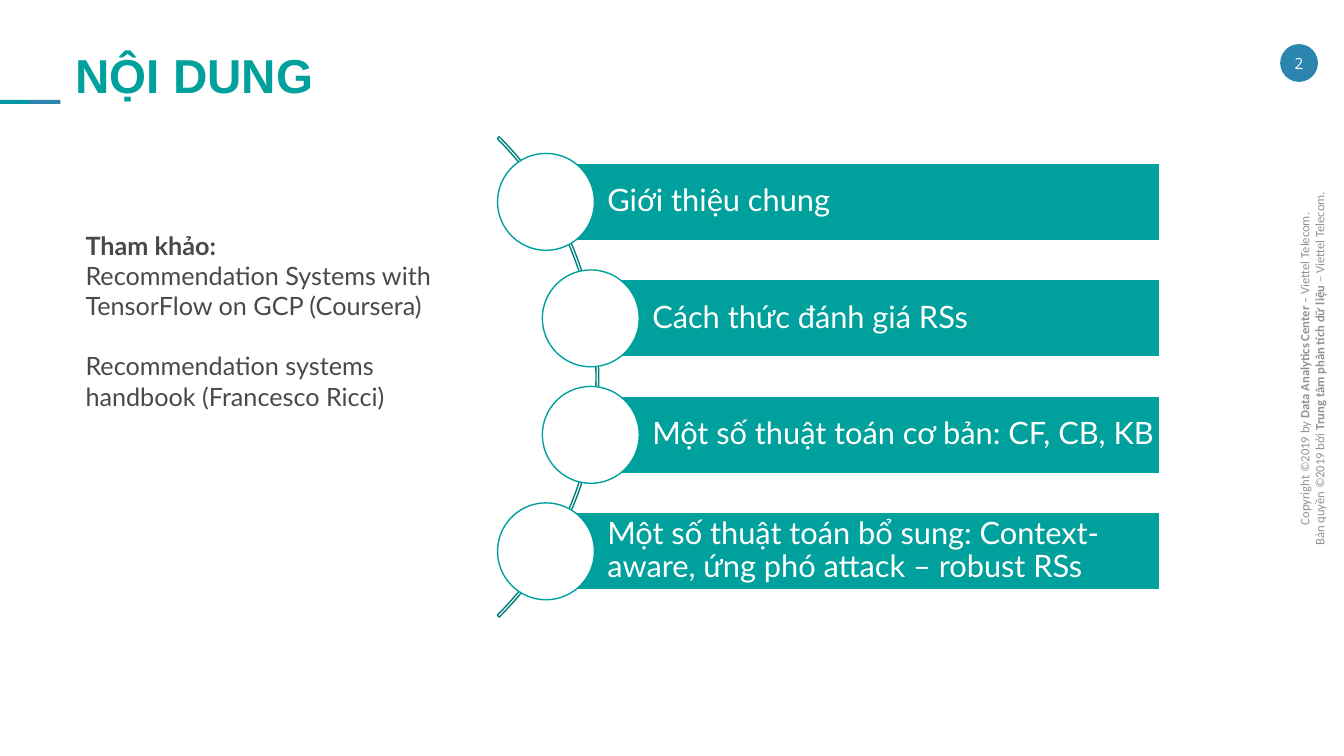
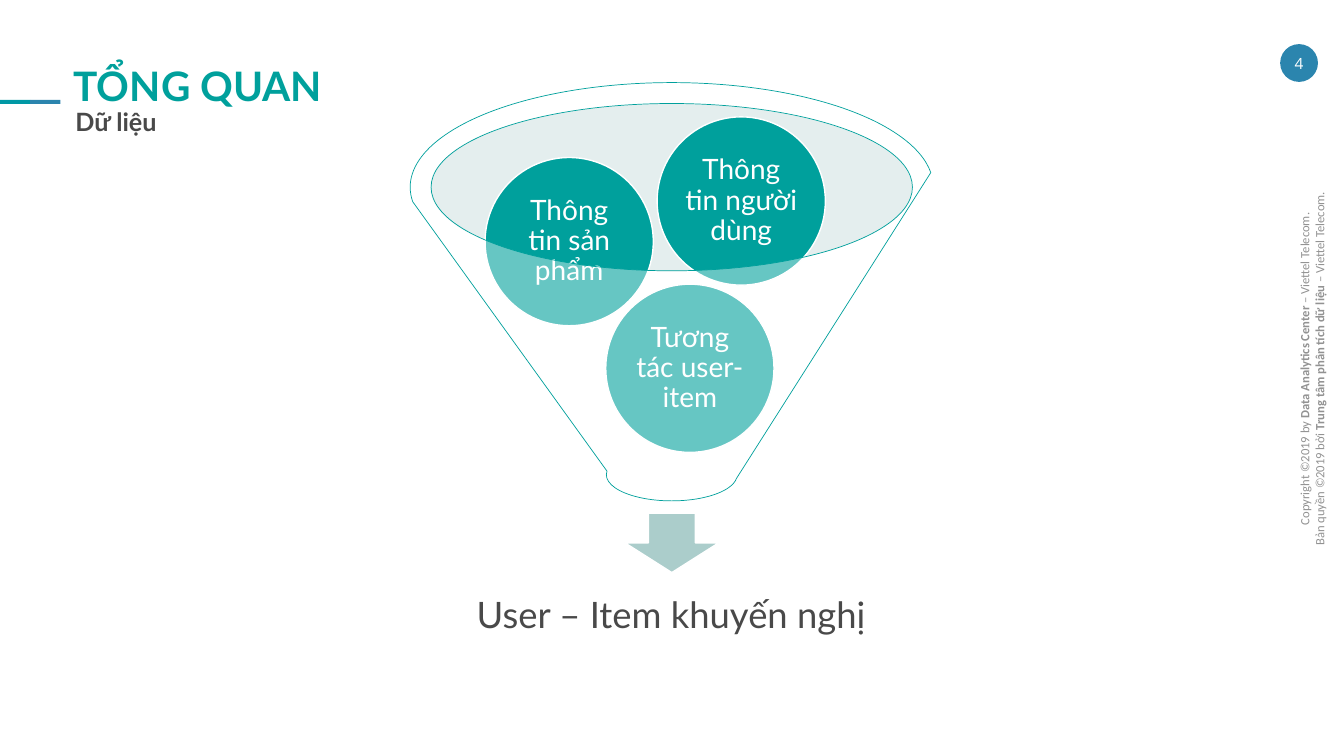
import lxml.etree
import pptx
import pptx.dml.color
import pptx.enum.shapes
import pptx.enum.text
import pptx.oxml.ns
import pptx.util

Pt = pptx.util.Pt
SHAPE = pptx.enum.shapes.MSO_SHAPE
ALIGN = pptx.enum.text.PP_ALIGN
ANCHOR = pptx.enum.text.MSO_ANCHOR

COLORS = {
    "teal": "00A09C",
    "dark_teal": "00807D",
    "accent": "0098A5",
    "blue": "2B85AE",
    "mist": "BDD6D5",
    "arrow": "ABCDCB",
    "text": "494949",
    "gray": "929292",
    "white": "FFFFFF",
}
COPYRIGHT = [
    [("Copyright ©2019 by ", False), ("Data Analytics Center", True),
     (" – Viettel Telecom.", False)],
    [("Bản quyền ©2019 bởi ", False), ("Trung tâm phân tích dữ liệu ", True),
     ("– Viettel Telecom.", False)],
]


class Deck:
    """Holds the shared style and the slide being built."""

    def __init__(self):
        self.presentation = pptx.Presentation()
        self.presentation.slide_width = Pt(960)
        self.presentation.slide_height = Pt(540)
        self.slide = None

    def color(self, name):
        return pptx.dml.color.RGBColor.from_string(COLORS[name])

    def start_slide(self, number):
        self.slide = self.presentation.slides.add_slide(self.presentation.slide_layouts[6])
        notice = self.text((771.1, 249.1, 331.9, 28.8), COPYRIGHT, 9, "gray", font="Calibri",
                           align=ALIGN.CENTER, insets=(7.2, 3.6, 7.2, 3.6))
        notice.rotation = 270
        for left, fill in ((0, "accent"), (21.6, "blue")):
            self.shape(SHAPE.RECTANGLE, (left, 71.3, 21.6, 3), fill)
        badge = self.shape(SHAPE.OVAL, (914.4, 31.5, 27, 27), "blue")
        self.fill_text(badge, [[(number, False)]], 11, "white", font="Open Sans",
                       align=ALIGN.CENTER, anchor=ANCHOR.MIDDLE)

    def shape(self, kind, box, fill=None, line=None, width=1, alpha=None):
        shape = self.slide.shapes.add_shape(kind, *map(Pt, box))
        shape.shadow.inherit = False
        if fill:
            shape.fill.solid()
            shape.fill.fore_color.rgb = self.color(fill)
        else:
            shape.fill.background()
        if alpha:
            tint = shape.element.spPr.find(".//" + pptx.oxml.ns.qn("a:srgbClr"))
            lxml.etree.SubElement(tint, pptx.oxml.ns.qn("a:alpha"), val=str(alpha * 1000))
        if line:
            shape.line.color.rgb = self.color(line)
            shape.line.width = Pt(width)
        else:
            shape.line.fill.background()
        return shape

    def text(self, box, paragraphs, size, color, **style):
        holder = self.slide.shapes.add_textbox(*map(Pt, box))
        self.fill_text(holder, paragraphs, size, color, **style)
        return holder

    def fill_text(self, holder, paragraphs, size, color, font="Lato", align=ALIGN.LEFT,
                  anchor=ANCHOR.TOP, insets=(0, 0, 0, 0), spacing=None):
        frame = holder.text_frame
        frame.word_wrap = True
        frame.vertical_anchor = anchor
        frame.margin_left, frame.margin_top, frame.margin_right, frame.margin_bottom = map(Pt, insets)
        for index, parts in enumerate(paragraphs):
            paragraph = frame.add_paragraph() if index else frame.paragraphs[0]
            paragraph.alignment = align
            if spacing:
                paragraph.line_spacing = spacing
            for words, bold in parts:
                run = paragraph.add_run()
                run.text = words
                run.font.name = font
                run.font.size = Pt(size)
                run.font.bold = bold
                run.font.color.rgb = self.color(color)

    def agenda_item(self, center_x, center_y, words):
        bar = self.shape(SHAPE.RECTANGLE, (center_x, center_y - 27.7, 828.7 - center_x, 55.4),
                         "teal", "white")
        self.fill_text(bar, [[(words, False)]], 22, "white", anchor=ANCHOR.MIDDLE,
                       insets=(43.9, 4.4, 4.4, 4.4), spacing=0.9)
        self.shape(SHAPE.OVAL, (center_x - 34.6, center_y - 34.6, 69.2, 69.2), "white", "teal")

    def ball(self, left, top, words):
        ball = self.shape(SHAPE.OVAL, (left, top, 120.2, 120.2), "teal", "white")
        self.fill_text(ball, [[(words, False)]], 20, "white", align=ALIGN.CENTER,
                       anchor=ANCHOR.MIDDLE, insets=(2, 2, 2, 2), spacing=0.9)


def build_contents(deck):
    deck.start_slide("2")
    deck.text((54, 37.4, 830, 40.3), [[("NỘI DUNG", True)]], 34, "teal", font="Arial", spacing=0.9)
    arc = deck.shape(SHAPE.BLOCK_ARC, (-57.6, 26.6, 485.3, 485.3), line="dark_teal")
    for index, value in enumerate((189, 27, 0.004)):
        arc.adjustments[index] = value
    agenda = (
        (390, "Giới thiệu chung"),
        (422, "Cách thức đánh giá RSs"),
        (422, "Một số thuật toán cơ bản: CF, CB, KB"),
        (390, "Một số thuật toán bổ sung: Context-aware, ứng phó attack – robust RSs"),
    )
    for row, (center_x, words) in enumerate(agenda):
        deck.agenda_item(center_x, 144.2 + row * 83.2, words)
    references = deck.text((54, 160.6, 303, 138.2), [
        [("Tham khảo:", True)],
        [("Recommendation Systems with TensorFlow on GCP (Coursera)", False)],
        [("Recommendation systems handbook (Francesco Ricci)", False)],
    ], 18, "text", insets=(7.2, 3.6, 7.2, 3.6))
    references.text_frame.paragraphs[2].space_before = Pt(21.6)


def build_overview(deck):
    deck.start_slide("4")
    padding = (7.2, 3.6, 7.2, 3.6)
    deck.text((46.8, 72.7, 291.6, 29.5), [[("Dữ liệu", True)]], 18, "text", insets=padding)
    deck.text((45.4, 41.8, 382.3, 29.5), [[("TỔNG QUAN", True)]], 29, "teal",
              insets=padding, spacing=Pt(33))
    deck.shape(SHAPE.OVAL, (307.4, 74.2, 344.2, 119.5), "mist", alpha=40)
    deck.shape(SHAPE.DOWN_ARROW, (446.4, 366.5, 67, 42.5), "arrow", "white")
    deck.text((319.7, 400.3, 319.7, 79.9), [[("User – Item khuyến nghị", False)]], 26, "text",
              align=ALIGN.CENTER, anchor=ANCHOR.MIDDLE, insets=(14.4,) * 4, spacing=0.9)
    for left, top, words in (
        (432.7, 203, "Tương tác user-item"),
        (346.5, 112.5, "Thông tin sản phẩm"),
        (469.4, 83.5, "Thông tin người dùng"),
    ):
        deck.ball(left, top, words)
    deck.shape(SHAPE.FUNNEL, (293, 59, 373.7, 298.8), "white", "teal", 0.5, alpha=40)


def main():
    deck = Deck()
    build_contents(deck)
    build_overview(deck)
    deck.presentation.save("out.pptx")


if __name__ == "__main__":
    main()
